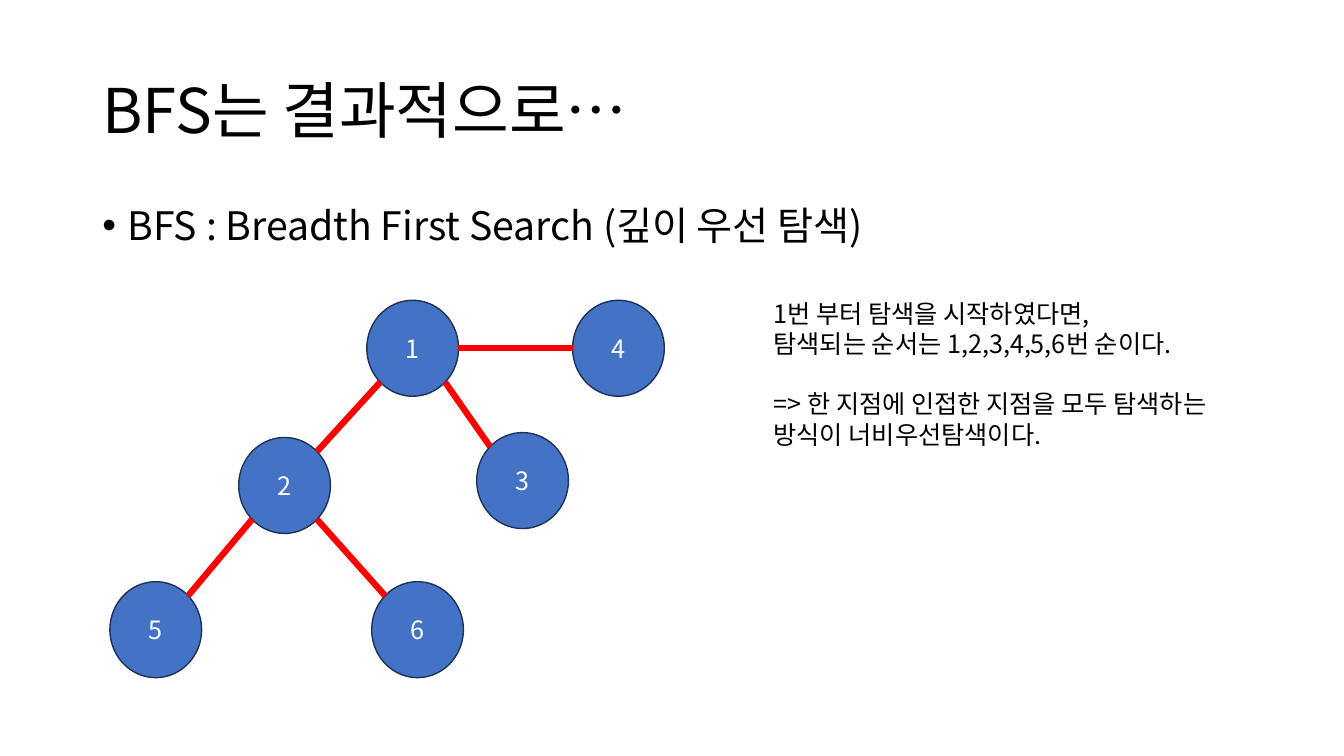
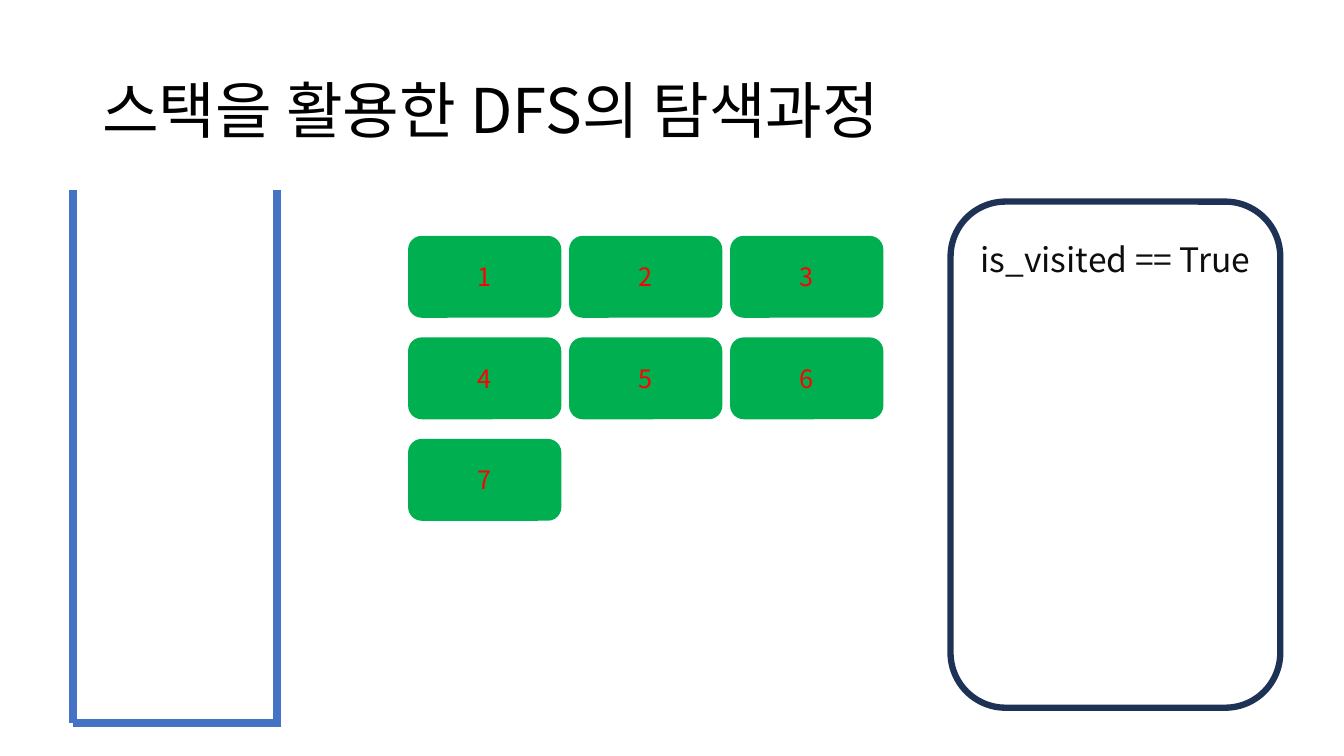
"""Build two slides on breadth-first and depth-first search."""
from math import hypot, sqrt
from typing import NamedTuple

from lxml.etree import SubElement
from pptx import Presentation
from pptx.dml.color import RGBColor
from pptx.enum.shapes import MSO_CONNECTOR as CONNECTOR, MSO_SHAPE as SHAPE
from pptx.enum.text import MSO_ANCHOR as ANCHOR, PP_ALIGN as ALIGN
from pptx.oxml.ns import qn
from pptx.shapes.autoshape import Shape
from pptx.slide import Slide
from pptx.text.text import TextFrame
from pptx.util import Pt

FONT = "Noto Sans CJK KR"
COLORS = {
    "text": "000000",
    "panel_text": "0D0D0D",
    "white": "FFFFFF",
    "blue": "4472C4",
    "navy": "1E3256",
    "red": "FF0000",
    "green": "00B050",
}


class Box(NamedTuple):
    left: float
    top: float
    width: float
    height: float


class Point(NamedTuple):
    x: float
    y: float


class TextStyle(NamedTuple):
    size: float
    color: str = "text"
    align: ALIGN = ALIGN.LEFT
    anchor: ANCHOR = ANCHOR.TOP
    line_spacing: float = 1.0


class ShapeStyle(NamedTuple):
    kind: SHAPE
    text: TextStyle
    fill: str | None = None
    line: str | None = None
    line_width: float = 1


TITLE_BOX = Box(66, 29, 828, 104.5)
TITLE = TextStyle(44, anchor=ANCHOR.MIDDLE, line_spacing=0.9)
BODY = TextStyle(28, line_spacing=0.9)
NOTE = TextStyle(18)
NODE = ShapeStyle(SHAPE.OVAL, TextStyle(18, "white", ALIGN.CENTER, ANCHOR.MIDDLE), "blue", "navy")
CARD = ShapeStyle(SHAPE.ROUNDED_RECTANGLE, TextStyle(18, "red", ALIGN.CENTER, ANCHOR.MIDDLE), "green")
PANEL = ShapeStyle(SHAPE.ROUNDED_RECTANGLE, TextStyle(24, "panel_text", ALIGN.CENTER), line="navy", line_width=4.5)

NODE_W, NODE_H = 65.5, 68.5
NODES = {
    "1": Point(262, 214.5),
    "2": Point(170.5, 312.5),
    "3": Point(340.5, 309),
    "4": Point(409, 214.5),
    "5": Point(78.5, 415.5),
    "6": Point(265.5, 415.5),
}
EDGES = [("1", "2"), ("1", "3"), ("1", "4"), ("2", "5"), ("2", "6")]

CARD_GRID = Box(291.5, 168.5, 109.5, 58.5)
CARD_STEP = Point(115, 72.5)
CARD_COLUMNS, CARD_COUNT = 3, 7

STACK_LEFT, STACK_RIGHT, STACK_TOP, STACK_BOTTOM = 52, 198, 136, 516.5
STACK_LINE = 6


def rgb(name: str) -> RGBColor:
    return RGBColor.from_string(COLORS[name])


def write(tf: TextFrame, text: str, style: TextStyle) -> None:
    tf.text = text
    tf.word_wrap = True
    tf.vertical_anchor = style.anchor
    for p in tf.paragraphs:
        p.alignment = style.align
        p.line_spacing = style.line_spacing
        for r in p.runs:
            r.font.size = Pt(style.size)
            r.font.color.rgb = rgb(style.color)
            r.font.name = FONT
            SubElement(r.font._element, qn("a:ea"), typeface=FONT)


def add_text(s: Slide, box: Box, text: str, style: TextStyle) -> TextFrame:
    tf = s.shapes.add_textbox(*map(Pt, box)).text_frame
    write(tf, text, style)
    return tf


def add_shape(s: Slide, box: Box, text: str, style: ShapeStyle) -> Shape:
    sp = s.shapes.add_shape(style.kind, *map(Pt, box))
    sp.shadow.inherit = False
    if style.fill:
        sp.fill.solid()
        sp.fill.fore_color.rgb = rgb(style.fill)
    else:
        sp.fill.background()
    if style.line:
        sp.line.color.rgb = rgb(style.line)
        sp.line.width = Pt(style.line_width)
    else:
        sp.line.fill.background()
    write(sp.text_frame, text, style.text)
    return sp


def add_line(s: Slide, start: Point, end: Point, color: str, width: float) -> None:
    line = s.shapes.add_connector(CONNECTOR.STRAIGHT, *map(Pt, (*start, *end)))
    line.line.color.rgb = rgb(color)
    line.line.width = Pt(width)
    SubElement(line._element.spPr, qn("a:effectLst"))


def add_bullet(tf: TextFrame, indent: float) -> None:
    pPr = tf.paragraphs[0]._p.get_or_add_pPr()
    pPr.set("marL", str(Pt(indent)))
    pPr.set("indent", str(-Pt(indent)))
    SubElement(pPr, qn("a:buFont"), typeface="Arial")
    SubElement(pPr, qn("a:buChar"), char="•")


def sign(value: float) -> int:
    return (value > 0) - (value < 0)


def rim_point(node: Point, toward: Point) -> Point:
    dx, dy = sign(toward.x - node.x), sign(toward.y - node.y)
    reach = hypot(dx, dy)
    return Point(
        node.x + NODE_W / 2 * (1 + dx / reach),
        node.y + NODE_H / 2 * (1 + dy / reach),
    )


def add_slide(prs: Presentation, title: str) -> Slide:
    s = prs.slides.add_slide(prs.slide_layouts[6])
    add_text(s, TITLE_BOX, title, TITLE)
    return s


def build_bfs(prs: Presentation) -> None:
    s = add_slide(prs, "BFS는 결과적으로…")
    body = add_text(s, Box(66, 144, 843, 343), "BFS : Breadth First Search (깊이 우선 탐색)", BODY)
    add_bullet(body, 18)
    for label, node in NODES.items():
        add_shape(s, Box(*node, NODE_W, NODE_H), label, NODE)
    for first, second in EDGES:
        a, b = NODES[first], NODES[second]
        add_line(s, rim_point(a, b), rim_point(b, a), "red", 4.5)
    lines = [
        "1번 부터 탐색을 시작하였다면,",
        "탐색되는 순서는 1,2,3,4,5,6번 순이다.",
        "=> 한 지점에 인접한 지점을 모두 탐색하는 방식이 너비우선탐색이다.",
    ]
    note = add_text(s, Box(545.5, 209.5, 363, 116.5), "\n".join(lines), NOTE)
    note.paragraphs[-1].space_before = Pt(21.5)


def build_dfs(prs: Presentation) -> None:
    s = add_slide(prs, "스택을 활용한 DFS의 탐색과정")
    for x in (STACK_LEFT, STACK_RIGHT):
        add_line(s, Point(x, STACK_TOP), Point(x, STACK_BOTTOM), "blue", STACK_LINE)
    corner = Point(STACK_RIGHT + STACK_LINE / 2, STACK_BOTTOM)
    add_line(s, corner, Point(STACK_LEFT, STACK_BOTTOM), "blue", STACK_LINE)
    for i in range(CARD_COUNT):
        row, column = divmod(i, CARD_COLUMNS)
        left = CARD_GRID.left + column * CARD_STEP.x
        top = CARD_GRID.top + row * CARD_STEP.y
        add_shape(s, Box(left, top, CARD_GRID.width, CARD_GRID.height), str(i + 1), CARD)
    panel = add_shape(s, Box(679, 144, 235.5, 361.5), "is_visited == True", PANEL)
    panel.text_frame.margin_top = Pt(15)


def main() -> None:
    prs = Presentation()
    prs.slide_width, prs.slide_height = Pt(960), Pt(540)
    build_bfs(prs)
    build_dfs(prs)
    prs.save("out.pptx")


if __name__ == "__main__":
    main()
